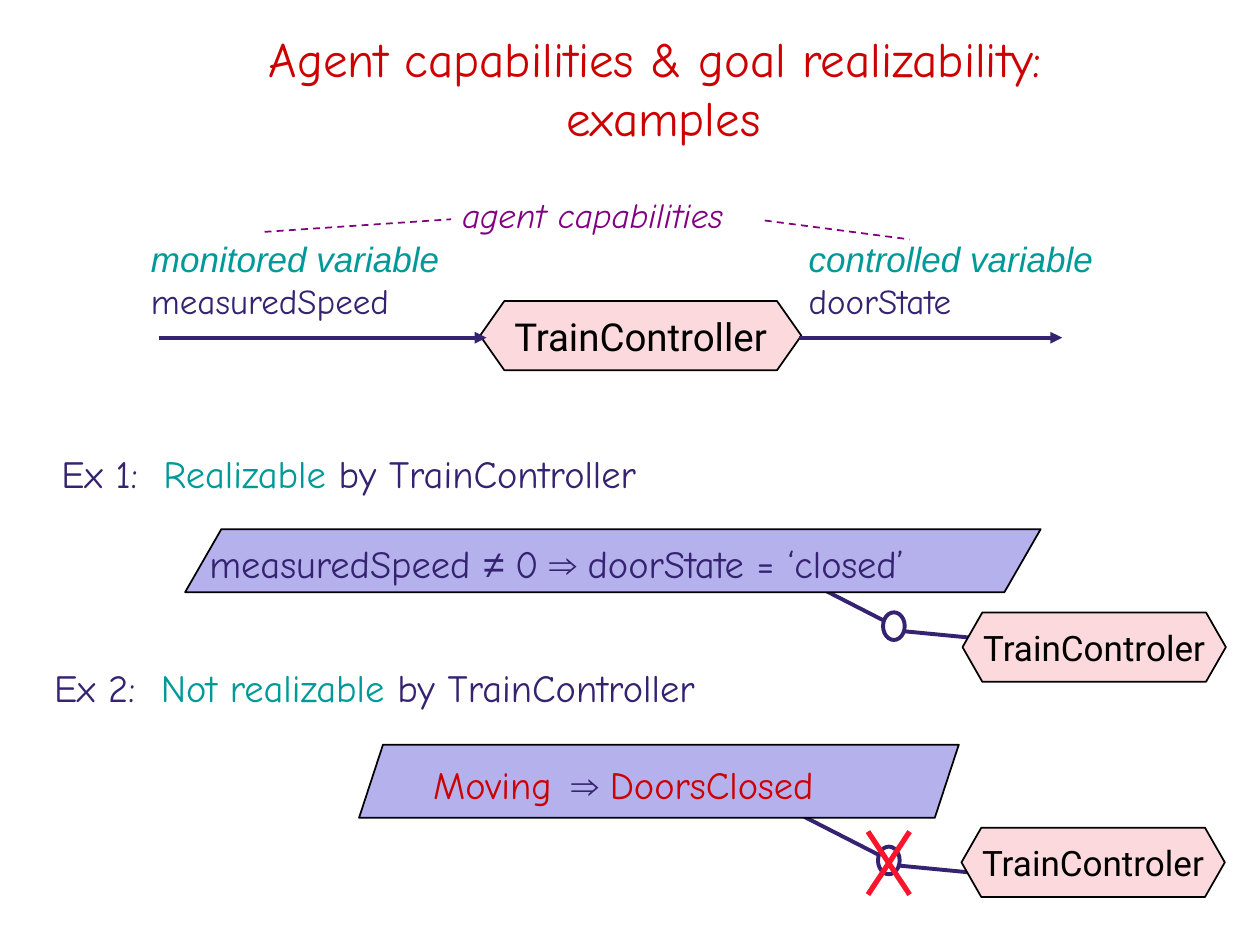
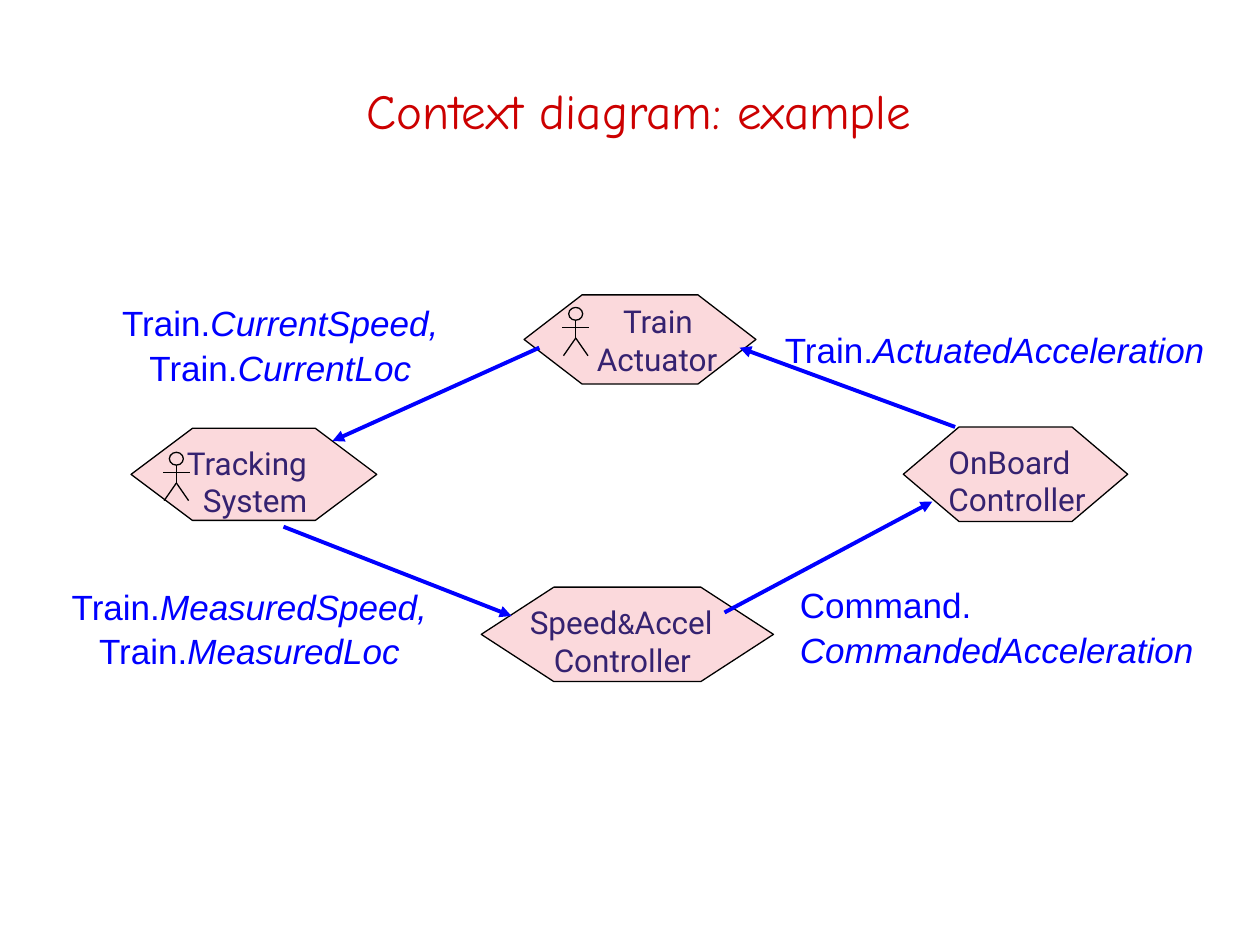
from dataclasses import dataclass

from lxml import etree
from pptx import Presentation
from pptx.dml.color import RGBColor
from pptx.enum import dml, shapes, text
from pptx.oxml import ns
from pptx.util import Pt

LEFT, CENTER, RIGHT = text.PP_ALIGN.LEFT, text.PP_ALIGN.CENTER, text.PP_ALIGN.RIGHT
MIDDLE, TOP = text.MSO_ANCHOR.MIDDLE, text.MSO_ANCHOR.TOP
SHAPE = shapes.MSO_SHAPE


@dataclass(frozen=True)
class Look:
    """Type style of a span."""
    font: str
    size: float
    color: str
    italic: bool = False


class Theme:
    """Colours, type styles and line widths of the deck."""
    ink, teal, purple, red = "352270", "009999", "800080", "CC0000"
    black, blue, cross = "000000", "0000FF", "F9152B"
    agent_fill, goal_fill = "FBD9DC", "B4B1ED"
    hairline, thin, strong, heavy = 0.75, 1, 2.25, 3

    hand, sans, label = "Comic Neue", "Arial", "Roboto"
    title = Look(hand, 28, red)
    body = Look(hand, 22, ink)
    verdict = Look(hand, 22, teal)
    symbol = Look(sans, 22, ink)
    bad_goal = Look(hand, 22, red)
    variable = Look(hand, 20, ink)
    variable_kind = Look(sans, 20, teal, True)
    caption = Look(hand, 20, purple, True)
    agent_large = Look(label, 22, black)
    agent_small = Look(label, 20, black)
    component = Look(label, 18, ink)
    ampersand = Look(label, 16, ink)
    flow = Look(sans, 20, blue)
    flow_name = Look(sans, 20, blue, True)


@dataclass
class Para:
    """A paragraph: (text, look) spans and their layout in points."""
    spans: list
    align: int = LEFT
    indent: float = 0
    tab: float = 0
    before: float = 0
    spacing: float = 1


def set_font(font, look):
    font.name, font.size, font.italic = look.font, Pt(look.size), look.italic
    font.bold = False
    font.color.rgb = RGBColor.from_string(look.color)


class Sketch:
    """Draws on the current slide in the deck's style."""

    def __init__(self, deck, theme):
        self.deck, self.theme, self.page = deck, theme, None

    def new_page(self, wording, left, top, width, height, spacing=1):
        self.page = self.deck.slides.add_slide(self.deck.slide_layouts[5])
        box = self.page.shapes.title
        box.left, box.top, box.width, box.height = map(Pt, (left, top, width, height))
        frame = box.text_frame
        frame.auto_size = text.MSO_AUTO_SIZE.NONE
        frame.vertical_anchor = MIDDLE
        frame.text = wording
        para = frame.paragraphs[0]
        para.alignment, para.line_spacing = CENTER, spacing
        for item in (para, *para.runs):
            set_font(item.font, self.theme.title)

    def set_paras(self, frame, paras, anchor, wrap=True):
        frame.word_wrap, frame.vertical_anchor = wrap, anchor
        for index, content in enumerate(paras):
            para = frame.add_paragraph() if index else frame.paragraphs[0]
            para.alignment, para.line_spacing = content.align, content.spacing
            para.space_before = Pt(content.before)
            set_font(para.font, content.spans[0][1])
            properties = para._p.get_or_add_pPr()
            if content.indent:
                properties.set("marL", str(Pt(content.indent)))
            if content.tab:
                stops = etree.Element(ns.qn("a:tabLst"))
                etree.SubElement(stops, ns.qn("a:tab"), pos=str(Pt(content.tab)), algn="l")
                properties.find(ns.qn("a:defRPr")).addprevious(stops)
            for wording, look in content.spans:
                span = para.add_run()
                span.text = wording
                set_font(span.font, look)

    def text_box(self, left, top, width, height, *paras, anchor=MIDDLE):
        box = self.page.shapes.add_textbox(*map(Pt, (left, top, width, height)))
        self.set_paras(box.text_frame, paras, anchor)

    def shape(self, kind, place, color, weight, fill=None, adjust=None):
        shape = self.page.shapes.add_shape(kind, *map(Pt, place))
        shape.shadow.inherit = False
        if fill:
            shape.fill.solid()
            shape.fill.fore_color.rgb = RGBColor.from_string(fill)
        else:
            shape.fill.background()
        shape.line.color.rgb = RGBColor.from_string(color)
        shape.line.width = Pt(weight)
        if adjust is not None:
            shape.adjustments[0] = adjust
        return shape

    def line(self, x1, y1, x2, y2, color, weight, dashed=False, arrow=False):
        line = self.page.shapes.add_connector(
            shapes.MSO_CONNECTOR.STRAIGHT, *map(Pt, (x1, y1, x2, y2)))
        line.line.color.rgb = RGBColor.from_string(color)
        line.line.width = Pt(weight)
        if dashed:
            line.line.dash_style = dml.MSO_LINE.DASH
        properties = line._element.spPr
        if arrow:
            etree.SubElement(properties.find(ns.qn("a:ln")), ns.qn("a:tailEnd"), type="triangle")
        etree.SubElement(properties, ns.qn("a:effectLst"))

    def agent(self, place, adjust, paras, weight, anchor=TOP, wrap=True):
        shape = self.shape(SHAPE.HEXAGON, place, self.theme.black, weight,
                           self.theme.agent_fill, adjust)
        frame = shape.text_frame
        frame.margin_left = frame.margin_right = frame.margin_top = frame.margin_bottom = 0
        self.set_paras(frame, paras, anchor, wrap)

    def named_agent(self, place, adjust, name, look):
        self.agent(place, adjust, [Para([(name, look)], CENTER)],
                   self.theme.thin, MIDDLE, wrap=False)

    def goal(self, place, adjust, text_place, para):
        self.shape(SHAPE.PARALLELOGRAM, place, self.theme.black, self.theme.thin,
                   self.theme.goal_fill, adjust)
        self.text_box(*text_place, para)

    def assignment(self, x, y):
        """Link from a goal through a small ring to its agent."""
        style = self.theme.ink, self.theme.strong
        self.line(x, y, x + 52, y + 26.6, *style)
        self.shape(SHAPE.OVAL, (x + 51, y + 21.6, 12.4, 15.8), *style)
        self.line(x + 62.6, y + 32.4, x + 144.7, y + 40.3, *style)

    def person(self, x, y):
        """Stick figure whose head top is at (x, y)."""
        style = self.theme.black, self.theme.hairline
        self.shape(SHAPE.OVAL, (x - 4, y, 8, 7.3), *style)
        for x1, y1, x2, y2 in [(0, 7.3, 0, 17.5), (0, 17.5, -7, 27.6),
                               (0, 17.5, 7, 27.6), (-7.6, 11.5, 7.6, 11.5)]:
            self.line(x + x1, y + y1, x + x2, y + y2, *style)


def draw_realizability(sketch):
    theme = sketch.theme
    sketch.new_page("Agent capabilities & goal realizability: \vexamples", 53.3, 20.2, 651.6, 59.8)

    # Agent with its monitored and controlled variables
    sketch.named_agent((274.3, 172, 183.6, 39.6), 0.351, "TrainController", theme.agent_large)
    for left, kind, name in [(79.2, "monitored variable", "measuredSpeed"),
                             (455, "controlled variable", "doorState")]:
        sketch.text_box(left, 132.5, 201.6, 52.6,
                        Para([(kind, theme.variable_kind)]),
                        Para([(name, theme.variable)], before=12.5, spacing=0.4))
    for start, end in [(456.5, 607), (90.7, 278)]:
        sketch.line(start, 193, end, 193, theme.ink, theme.strong, arrow=True)

    # Caption with dashed pointers
    sketch.text_box(257, 107.3, 201.6, 31, Para([("agent capabilities", theme.caption)]))
    for ends in [(151.2, 132.5, 257.8, 125.3), (437, 126, 519.8, 136.8)]:
        sketch.line(*ends, theme.purple, theme.thin, dashed=True)

    # Example headings
    for left, top, number, tab, verdict in [(28, 253.4, 1, 58.3, "Realizable"),
                                            (23.8, 375.8, 2, 61, "Not realizable")]:
        sketch.text_box(left, top, 540, 33.8, Para(
            [(f"Ex {number}:\t", theme.body), (verdict, theme.verdict),
             (" by TrainController", theme.body)], tab=tab))

    # Goals assigned to agents
    for link, agent_place in [((453.6, 328.3), (550, 350, 150.5, 39.6)),
                              ((450.7, 462.2), (549.4, 473, 150.5, 39.6))]:
        sketch.assignment(*link)
        sketch.named_agent(agent_place, 0.286, "TrainControler", theme.agent_small)
    sketch.goal((105.8, 302.4, 488.9, 36), 0.575, (112.6, 304, 456, 36), Para(
        [("measuredSpeed ", theme.body), ("≠ ", theme.symbol), ("0", theme.body),
         (" ⇒ ", theme.symbol), ("doorState = ‘closed’", theme.body)]))
    sketch.goal((205.2, 425.5, 342.7, 41.8), 0.328, (240.5, 431.3, 252, 33.8), Para(
        [("Moving\t", theme.bad_goal), ("⇒ ", theme.symbol),
         ("DoorsClosed", theme.bad_goal)], tab=79))

    # Cross over the impossible assignment
    for start, end in [(519.8, 496), (496, 519.8)]:
        sketch.line(start, 475.2, end, 511.2, theme.cross, theme.heavy)


def draw_context(sketch):
    theme = sketch.theme
    sketch.new_page("Context diagram: example", 24.5, 29.5, 681, 59.8, spacing=1.2)
    name = theme.component

    # Components
    for place, adjust, paras in [
        ((299.5, 168.5, 132.5, 51), 0.65,
         [Para([("Train", name)], CENTER, indent=20.5, spacing=0.8),
          Para([("Actuator", name)], RIGHT)]),
        ((74.9, 244.8, 140.4, 52.6), 0.666,
         [Para([("Tracking", name)], indent=8.6), Para([("System", name)], indent=17.7)]),
        ((275, 335.5, 167, 54), 0.769,
         [Para([("Speed", name), ("&", theme.ampersand), ("Accel", name)]),
          Para([("Controller", name)], indent=13.7)]),
        ((516.2, 244, 128.2, 54), 0.589,
         [Para([("OnBoard", name)], indent=4.5), Para([("Controller", name)], indent=4.5)]),
    ]:
        sketch.agent(place, adjust, paras, theme.hairline)
    sketch.person(329, 175.7)
    sketch.person(100.8, 258.5)

    # Flows between components
    for ends in [(414, 350, 532.8, 286.6), (545.8, 244, 422.6, 198.7),
                 (308.2, 198.7, 190, 252), (162, 301, 292.3, 352)]:
        sketch.line(*ends, theme.blue, theme.strong, arrow=True)

    # Flow labels
    for place, align, lines in [
        ((450, 329, 252.7, 45.4), LEFT, [("Command.", ""), ("", "CommandedAcceleration")]),
        ((441.4, 183, 262.8, 37.4), LEFT, [("Train.", "ActuatedAcceleration")]),
        ((54, 167.8, 212.4, 41), CENTER, [("Train.", "CurrentSpeed,"), ("Train.", "CurrentLoc")]),
        ((32.4, 329.8, 220.3, 41), CENTER,
         [("Train.", "MeasuredSpeed,"), ("Train.", "MeasuredLoc")]),
    ]:
        paras = []
        for owner, attribute in lines:
            spans = [(owner, theme.flow), (attribute, theme.flow_name)]
            paras.append(Para([span for span in spans if span[0]], align, spacing=1.05))
        sketch.text_box(*place, *paras, anchor=TOP)


def main():
    deck = Presentation()
    deck.slide_width, deck.slide_height = Pt(720), Pt(540)
    sketch = Sketch(deck, Theme())
    draw_realizability(sketch)
    draw_context(sketch)
    deck.save("out.pptx")


if __name__ == "__main__":
    main()
